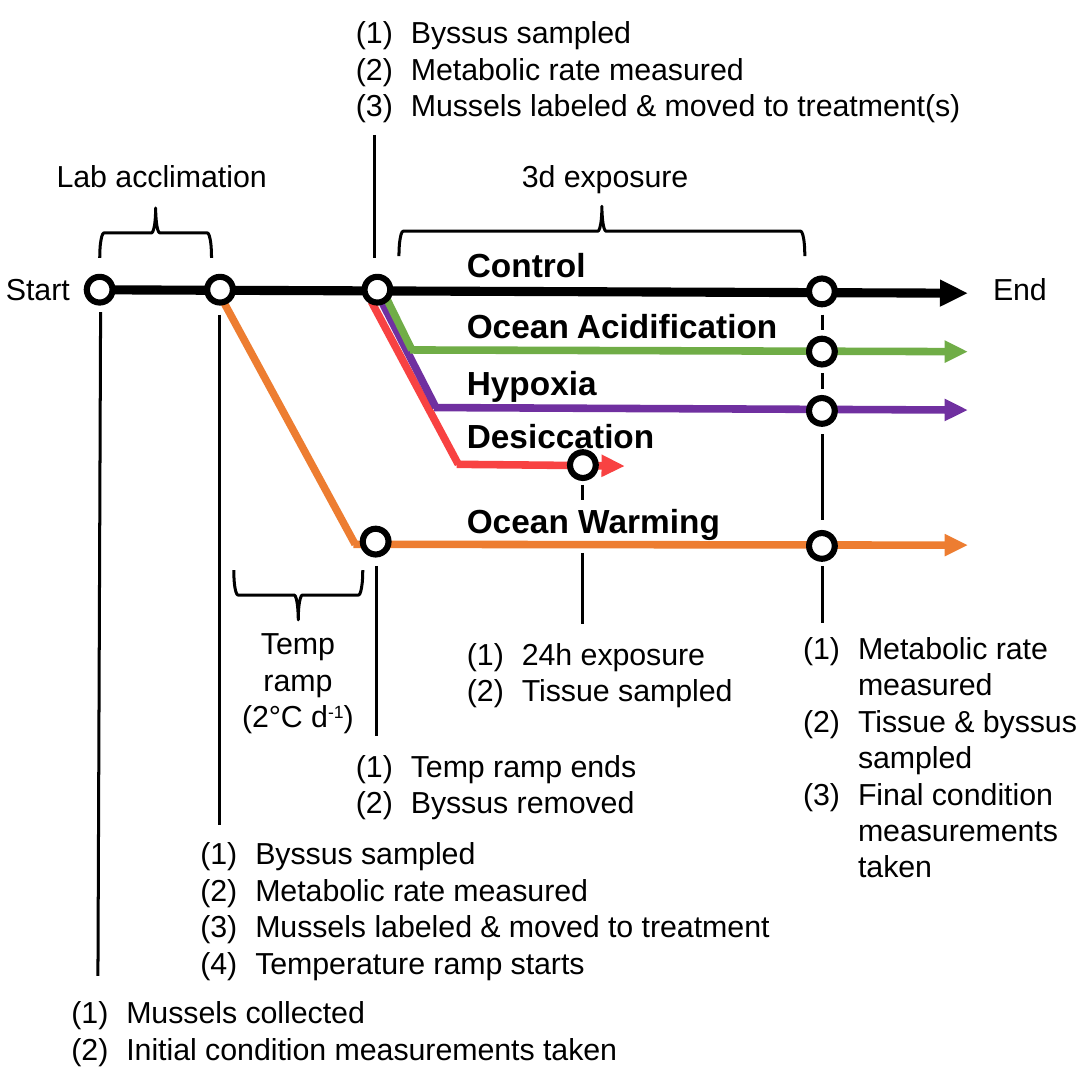
from dataclasses import dataclass
from typing import Optional

from lxml import etree
from pptx import Presentation
from pptx import util as u
from pptx.dml.color import RGBColor
from pptx.enum import shapes, text
from pptx.oxml import ns

Point = tuple[float, float]
Frame = tuple[float, float, float, float]


@dataclass(frozen=True)
class Theme:
    font: str = "Arial"
    ink: str = "000000"
    paper: str = "FFFFFF"
    desiccation: str = "F84242"
    hypoxia: str = "7030A0"
    acidification: str = "70AD47"
    warming: str = "ED7D31"
    body_size: float = 10
    label_size: float = 11
    leader_width: float = 1
    marker_width: float = 2
    route_width: float = 2.5
    control_width: float = 3


THEME = Theme()


@dataclass(frozen=True)
class Route:
    color: str
    start: Point
    end: Point
    bend: Optional[Point] = None
    width: float = THEME.route_width


@dataclass(frozen=True)
class Label:
    words: str
    left: float
    top: float
    width: float
    size: float = THEME.body_size
    bold: bool = False


@dataclass(frozen=True)
class Note:
    frame: Frame
    steps: tuple[str, ...]
    wrap: bool = False


@dataclass(frozen=True)
class Brace:
    frame: Frame
    rotation: int = 90


ROUTES = [
    Route(THEME.desiccation, (4.32, 3.51), (7.26, 5.42), (5.33, 5.4)),
    Route(THEME.hypoxia, (4.45, 3.53), (11.25, 4.77), (5.07, 4.74)),
    Route(THEME.acidification, (4.5, 3.48), (11.25, 4.09), (4.79, 4.07)),
    Route(THEME.warming, (2.54, 3.4), (11.25, 6.34), (4.13, 6.33)),
    Route(THEME.ink, (1.02, 3.37), (11.25, 3.41), width=THEME.control_width),
]

TREATMENT_LEFT = 5.18
TREATMENTS = [
    Label(words, TREATMENT_LEFT, top, width, THEME.label_size, True)
    for words, top, width in [
        ("Control", 2.72, 1.9),
        ("Ocean Acidification", 3.43, 4.17),
        ("Hypoxia", 4.09, 2.03),
        ("Desiccation", 4.7, 2.72),
        ("Ocean Warming", 5.69, 3.61),
    ]
]

CAPTIONS = [
    Label("Lab acclimation", 0.41, 1.7, 2.97),
    Label("3d exposure", 5.82, 1.7, 2.57),
    Label("Start", -0.18, 3.02, 1.27),
    Label("End", 11.3, 3.02, 1.14),
]

MARKER_SIZE = 0.3
FINAL_X = 9.56
MARKERS = [
    (1.16, 3.37), (2.56, 3.37), (4.39, 3.37), (4.37, 6.3), (6.78, 5.41),
    *((FINAL_X, y) for y in (3.39, 4.09, 4.78, 6.35)),
]

LEADERS = [
    ((4.36, 1.57), (4.36, 3)),
    ((1.17, 3.63), (1.14, 11.35)),
    ((2.55, 3.66), (2.55, 9.6)),
    ((4.38, 6.58), (4.38, 8.56)),
    ((6.78, 5.64), (6.78, 5.82)),
    ((6.78, 6.43), (6.78, 7.26)),
    *(((FINAL_X + 0.01, top), (FINAL_X + 0.01, bottom)) for top, bottom in
      [(3.66, 3.84), (4.34, 4.52), (5.05, 6.05), (6.58, 7.24)]),
]

BRACES = [
    Brace((1.52, 2.06, 0.58, 1.3)),
    Brace((6.71, 0.33, 0.58, 4.72)),
    Brace((3.18, 6.17, 0.58, 1.5), 270),
]

NOTES = [
    Note((3.89, 0.03, 7.59, 1.55), (
        "Byssus sampled", "Metabolic rate measured",
        "Mussels labeled & moved to treatment(s)")),
    Note((5.18, 7.26, 3.73, 1.12), ("24h exposure", "Tissue sampled"), True),
    Note((9.09, 7.19, 3.84, 3.25), (
        "Metabolic rate measured", "Tissue & byssus sampled",
        "Final condition measurements taken"), True),
    Note((3.89, 8.56, 3.84, 1.12), ("Temp ramp ends", "Byssus removed")),
    Note((2.08, 9.58, 7.19, 1.96), (
        "Byssus sampled", "Metabolic rate measured",
        "Mussels labeled & moved to treatment", "Temperature ramp starts")),
    Note((0.58, 11.43, 7.14, 1.12), (
        "Mussels collected", "Initial condition measurements taken"), True),
]


def rgb(color: str) -> RGBColor:
    return RGBColor.from_string(color)


def draw_line(page, start: Point, end: Point, *, color: str = THEME.ink,
              width: float = THEME.leader_width, arrow: bool = False) -> None:
    line = page.shapes.add_connector(
        shapes.MSO_CONNECTOR.STRAIGHT, *(u.Cm(value) for value in (*start, *end)))
    line.line.color.rgb = rgb(color)
    line.line.width = u.Pt(width)
    if arrow:
        etree.SubElement(line.line._get_or_add_ln(), ns.qn("a:tailEnd"), type="triangle")
    etree.SubElement(line._element.spPr, ns.qn("a:effectLst"))


def draw_route(page, route: Route) -> None:
    arm_start = route.start
    if route.bend:
        draw_line(page, route.start, route.bend, color=route.color, width=route.width)
        arm_start = (route.bend[0] - 0.02, route.bend[1])
    draw_line(page, arm_start, route.end, color=route.color, width=route.width, arrow=True)


def draw_shape(page, kind, frame: Frame, *, width: float):
    shape = page.shapes.add_shape(kind, *(u.Cm(value) for value in frame))
    shape.shadow.inherit = False
    shape.fill.background()
    shape.line.color.rgb = rgb(THEME.ink)
    shape.line.width = u.Pt(width)
    return shape


def draw_marker(page, center: Point) -> None:
    left, top = (value - MARKER_SIZE / 2 for value in center)
    marker = draw_shape(page, shapes.MSO_SHAPE.OVAL, (left, top, MARKER_SIZE, MARKER_SIZE),
                        width=THEME.marker_width)
    marker.fill.solid()
    marker.fill.fore_color.rgb = rgb(THEME.paper)


def draw_brace(page, brace: Brace) -> None:
    shape = draw_shape(page, shapes.MSO_SHAPE.LEFT_BRACE, brace.frame, width=THEME.leader_width)
    shape.rotation = brace.rotation


def add_frame(page, frame: Frame, *, wrap: bool = False):
    box = page.shapes.add_textbox(*(u.Cm(value) for value in frame))
    box.text_frame.word_wrap = wrap
    box.text_frame.auto_size = text.MSO_AUTO_SIZE.SHAPE_TO_FIT_TEXT
    return box.text_frame


def write_span(para, words: str, *, size: float = THEME.body_size,
               bold: bool = False, raised: bool = False) -> None:
    span = para.add_run()
    span.text = words
    span.font.name = THEME.font
    span.font.size = u.Pt(size)
    span.font.bold = bold
    span.font.color.rgb = rgb(THEME.ink)
    if raised:
        span.font._element.set("baseline", "30000")


def draw_label(page, label: Label) -> None:
    frame = add_frame(page, (label.left, label.top, label.width, 0.7))
    write_span(frame.paragraphs[0], label.words, size=label.size, bold=label.bold)


def draw_note(page, note: Note) -> None:
    frame = add_frame(page, note.frame, wrap=note.wrap)
    for index, step in enumerate(note.steps):
        para = frame.add_paragraph() if index else frame.paragraphs[0]
        properties = para._p.get_or_add_pPr()
        properties.set("marL", str(u.Cm(0.64)))
        properties.set("indent", str(u.Cm(-0.64)))
        etree.SubElement(properties, ns.qn("a:buFont"), typeface=THEME.font)
        etree.SubElement(properties, ns.qn("a:buAutoNum"), type="arabicParenBoth")
        write_span(para, step)


def draw_ramp_caption(page) -> None:
    para = add_frame(page, (2.54, 7.14, 1.85, 1.55), wrap=True).paragraphs[0]
    para.alignment = text.PP_ALIGN.CENTER
    for words, raised in [("Temp ramp (2°C d", False), ("-1", True), (")", False)]:
        write_span(para, words, raised=raised)


def main() -> None:
    deck = Presentation()
    deck.slide_width = deck.slide_height = u.Cm(12.7)
    page = deck.slides.add_slide(deck.slide_layouts[6])
    for route in ROUTES:
        draw_route(page, route)
    for label in TREATMENTS + CAPTIONS:
        draw_label(page, label)
    for center in MARKERS:
        draw_marker(page, center)
    for start, end in LEADERS:
        draw_line(page, start, end)
    for brace in BRACES:
        draw_brace(page, brace)
    for note in NOTES:
        draw_note(page, note)
    draw_ramp_caption(page)
    deck.save("out.pptx")


if __name__ == "__main__":
    main()
